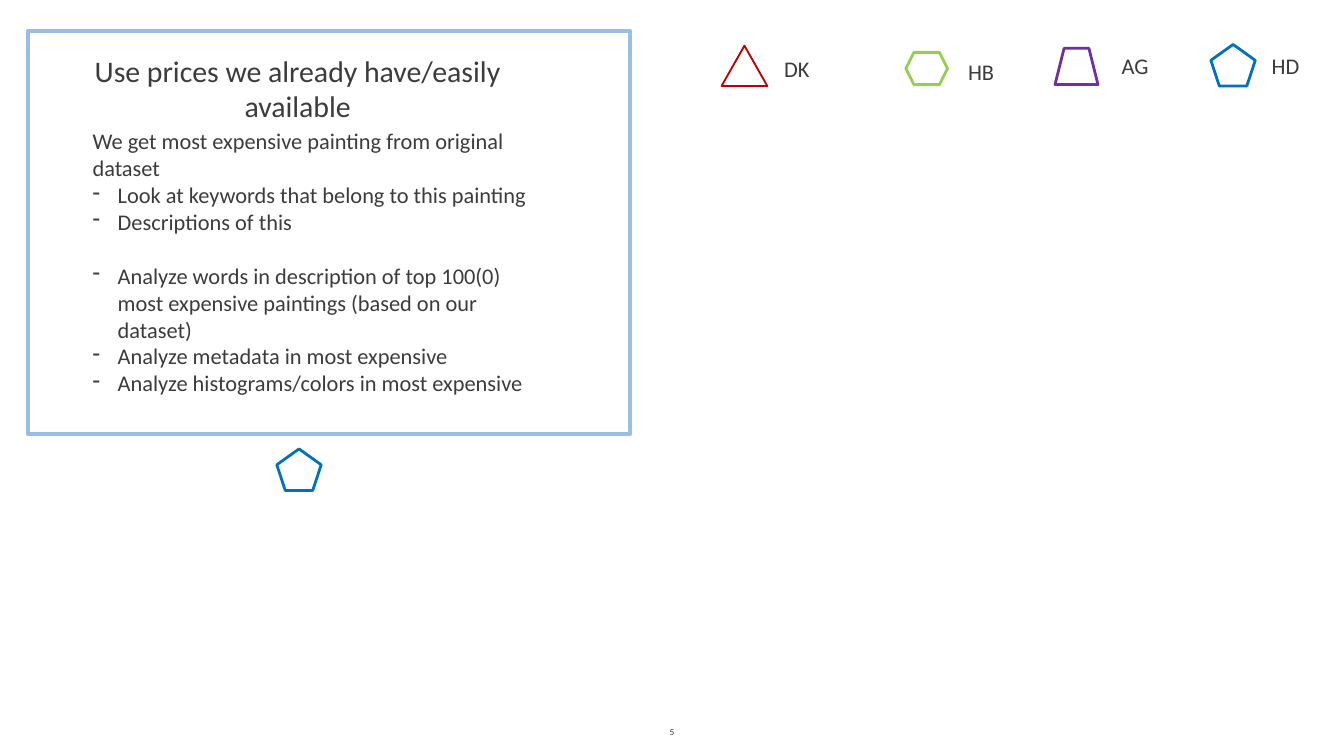
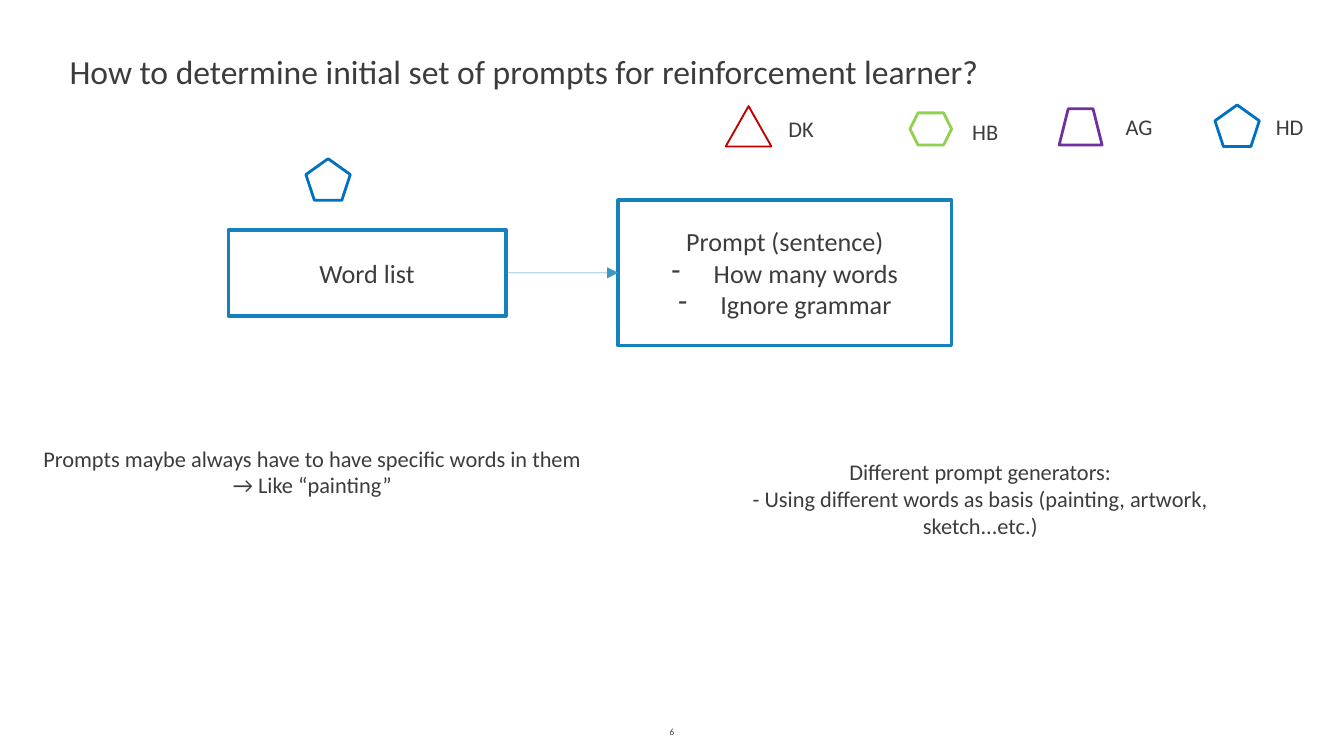
from lxml.etree import SubElement
from pptx import Presentation
from pptx.dml.color import RGBColor
from pptx.enum.shapes import MSO_CONNECTOR, MSO_SHAPE
from pptx.enum.text import MSO_ANCHOR, PP_ALIGN
from pptx.oxml.ns import qn
from pptx.util import Pt

FONT = "Calibri"
INK = RGBColor(0x3C, 0x3C, 0x3B)
WHITE = RGBColor(0xFF, 0xFF, 0xFF)
FRAME_BLUE = RGBColor(0x99, 0xBD, 0xE4)
BOX_BLUE = RGBColor(0x15, 0x82, 0xBD)
ARROW_BLUE = RGBColor(0x3F, 0x98, 0xBD)
RED = RGBColor(0xC0, 0x00, 0x00)
GREEN = RGBColor(0x92, 0xD0, 0x50)
PURPLE = RGBColor(0x70, 0x30, 0xA0)
BLUE = RGBColor(0x00, 0x70, 0xC0)

MARKER_SIZE = (23.8, 22.3)
LEGEND = [
    ("DK", MSO_SHAPE.ISOSCELES_TRIANGLE, RED, 1, (386.6, 24.5, 24.5, 21.6), (411.1, 25.9, 31.7)),
    ("HB", MSO_SHAPE.HEXAGON, GREEN, 1.5, (485.3, 28.1, 22.3, 17.3), (510.5, 27.4, 30.2)),
    ("AG", MSO_SHAPE.TRAPEZOID, PURPLE, 1.5, (565.2, 25.9, 23, 19.4), (592.6, 24.5, 31)),
    ("HD", MSO_SHAPE.REGULAR_PENTAGON, BLUE, 1.5, (648.7, 23.8, *MARKER_SIZE), (672.5, 24.5, 32.4)),
]


def add_bullet(paragraph, indent):
    """Give a paragraph a hanging dash."""
    properties = paragraph._p.get_or_add_pPr()
    properties.set("marL", str(Pt(indent)))
    properties.set("indent", str(-Pt(indent)))
    SubElement(properties, qn("a:buChar"), char="-")


def write(frame, lines, size, align=PP_ALIGN.CENTER, bullet_indent=0):
    """Write one paragraph per line; with an indent, all but the first are bulleted."""
    for index, line in enumerate(lines):
        paragraph = frame.add_paragraph() if index else frame.paragraphs[0]
        paragraph.text = line
        paragraph.alignment = align
        paragraph.font.name = FONT
        paragraph.font.size = Pt(size)
        paragraph.font.color.rgb = INK
        if index and bullet_indent:
            add_bullet(paragraph, bullet_indent)


def add_text(slide, bounds, lines, size, wrap=False, **style):
    """Add a text box and return its frame."""
    frame = slide.shapes.add_textbox(*map(Pt, bounds)).text_frame
    frame.word_wrap = wrap
    write(frame, lines, size, **style)
    return frame


def add_outline(slide, kind, bounds, color, width):
    """Add an unfilled preset shape."""
    shape = slide.shapes.add_shape(kind, *map(Pt, bounds))
    shape.shadow.inherit = False
    shape.fill.background()
    shape.line.color.rgb = color
    shape.line.width = Pt(width)
    return shape


def add_box(slide, bounds, lines, **style):
    """Add a white box with a blue border and centred text."""
    box = add_outline(slide, MSO_SHAPE.RECTANGLE, bounds, BOX_BLUE, 2)
    box.fill.solid()
    box.fill.fore_color.rgb = WHITE
    box.text_frame.vertical_anchor = MSO_ANCHOR.MIDDLE
    write(box.text_frame, lines, 14, **style)
    return box


def add_arrow(slide, source, target):
    """Connect the right side of one box to the left side of another."""
    arrow = slide.shapes.add_connector(MSO_CONNECTOR.STRAIGHT, 0, 0, 0, 0)
    arrow.begin_connect(source, 3)
    arrow.end_connect(target, 1)
    arrow.line.color.rgb = ARROW_BLUE
    arrow.line.width = Pt(0.25)
    SubElement(arrow.line._get_or_add_ln(), qn("a:tailEnd"), type="triangle")
    SubElement(arrow._element.spPr, qn("a:effectLst"))


def add_legend(slide, shift_x=0, shift_y=0):
    """Add the row of outlined symbols with their initials."""
    for initials, kind, color, width, symbol, label in LEGEND:
        left, top, *size = symbol
        add_outline(slide, kind, (left + shift_x, top + shift_y, *size), color, width)
        left, top, label_width = label
        add_text(slide, (left + shift_x, top + shift_y, label_width, 21.6), [initials], 12)


def add_marker(slide, left, top):
    """Mark a topic with the HD pentagon."""
    add_outline(slide, MSO_SHAPE.REGULAR_PENTAGON, (left, top, *MARKER_SIZE), BLUE, 1.5)


def add_slide(presentation, number):
    """Add a blank slide with its number at the bottom."""
    slide = presentation.slides.add_slide(presentation.slide_layouts[6])
    frame = add_text(slide, (326.2, 385.2, 67.7, 13.7), [str(number)], 5, wrap=True)
    frame.vertical_anchor = MSO_ANCHOR.MIDDLE
    return slide


def build_prices(presentation):
    """Build the slide on using available prices."""
    slide = add_slide(presentation, 5)
    body = add_text(slide, (42.5, 64.8, 257.8, 152.6), [
        "We get most expensive painting from original dataset",
        "Look at keywords that belong to this painting",
        "Descriptions of this",
        "Analyze words in description of top 100(0) most expensive paintings (based on our dataset)",
        "Analyze metadata in most expensive",
        "Analyze histograms/colors in most expensive",
    ], 12, wrap=True, align=PP_ALIGN.LEFT, bullet_indent=13.5)
    body.paragraphs[3].space_before = Pt(14.4)
    add_text(slide, (15.1, 24.5, 288.7, 26.6),
             ["Use prices we already have/easily available"], 16, wrap=True)
    add_outline(slide, MSO_SHAPE.RECTANGLE, (15.1, 16.6, 322.6, 216), FRAME_BLUE, 2)
    add_legend(slide)
    add_marker(slide, 148.3, 240.5)


def build_prompts(presentation):
    """Build the slide on the initial set of prompts."""
    slide = add_slide(presentation, 6)
    words = add_box(slide, (122.4, 123.1, 148.6, 46.1), ["Word list"])
    prompt = add_box(slide, (331.2, 107.3, 178.6, 77.8),
                     ["Prompt (sentence)", "How many words", "Ignore grammar"],
                     bullet_indent=22.5)
    add_arrow(slide, words, prompt)
    add_text(slide, (25.9, 23.8, 509.8, 28.8),
             ["How to determine initial set of prompts for reinforcement learner?"], 18)
    add_legend(slide, 2.2, 32.4)
    add_marker(slide, 163.9, 85)
    add_text(slide, (15.8, 234.7, 303.1, 36), [
        "Prompts maybe always have to have specific words in them",
        "→ Like “painting”",
    ], 12)
    add_text(slide, (365, 241.9, 320.4, 36), [
        "Different prompt generators:",
        "- Using different words as basis (painting, artwork, sketch...etc.)",
    ], 12, wrap=True)


def main():
    """Build and save the presentation."""
    presentation = Presentation()
    presentation.slide_width = Pt(720)
    presentation.slide_height = Pt(405)
    build_prices(presentation)
    build_prompts(presentation)
    presentation.save("out.pptx")


if __name__ == "__main__":
    main()
